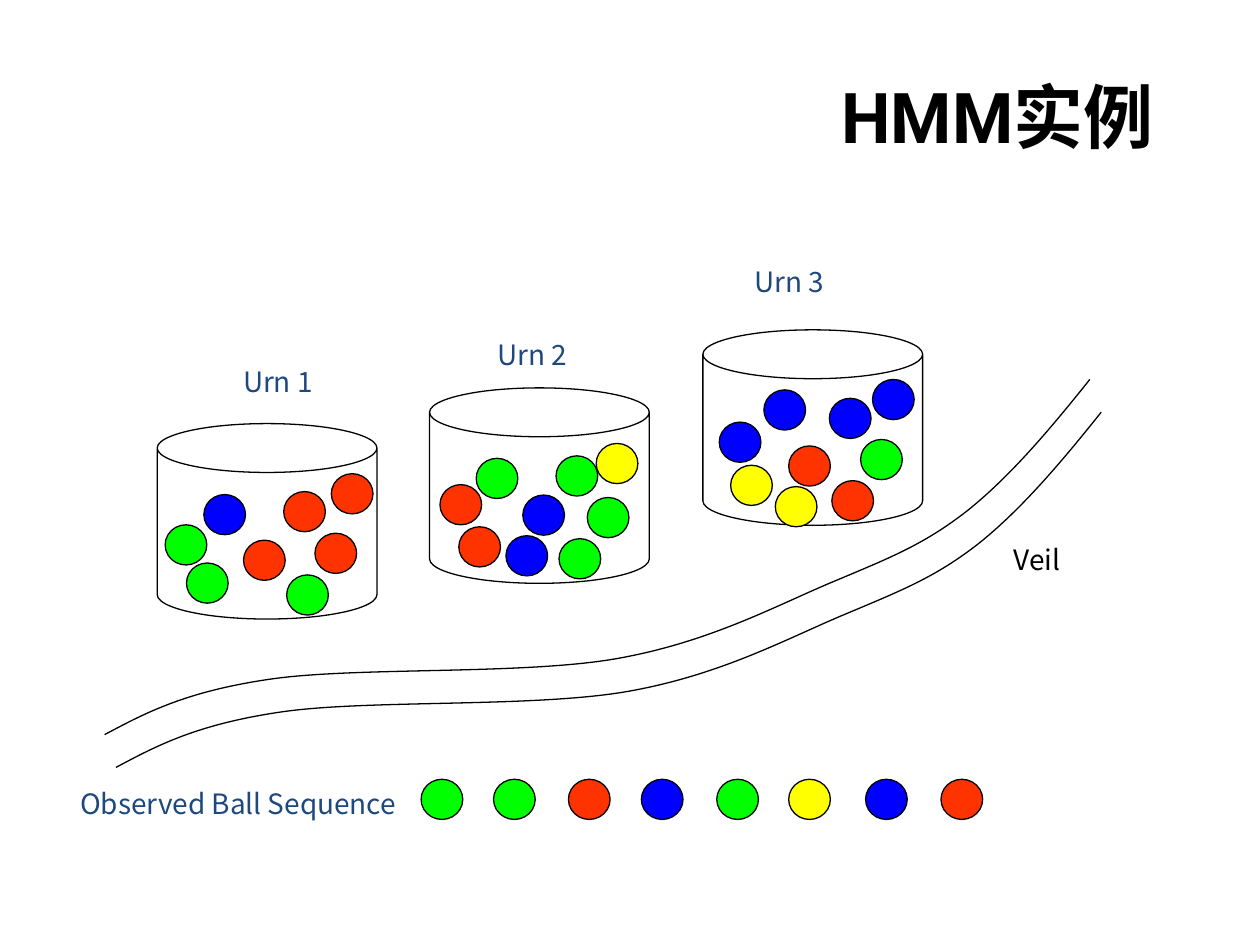
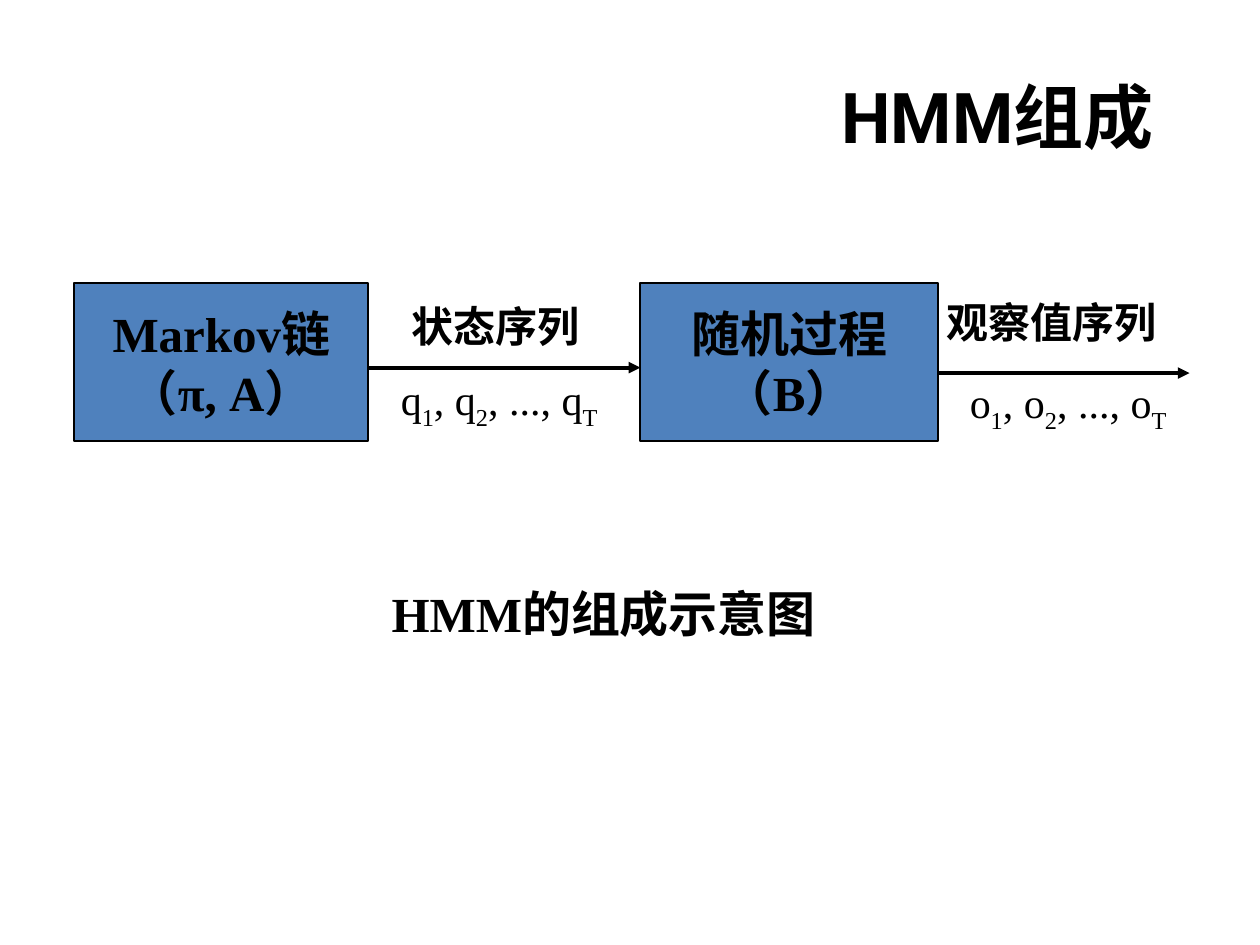
from lxml import etree
from pptx import Presentation
from pptx.dml.color import RGBColor
from pptx.enum.shapes import MSO_CONNECTOR as Connector, MSO_SHAPE as Preset
from pptx.enum.text import MSO_ANCHOR as Anchor, MSO_AUTO_SIZE as AutoSize, PP_ALIGN as Align
from pptx.oxml.ns import qn
from pptx.util import Cm, Pt

BLACK = RGBColor(0x00, 0x00, 0x00)
NAVY = RGBColor(0x1F, 0x49, 0x7D)
STEEL = RGBColor(0x4F, 0x81, 0xBD)
RED = RGBColor(0xFF, 0x33, 0x00)
GREEN = RGBColor(0x00, 0xFF, 0x00)
BLUE = RGBColor(0x00, 0x00, 0xFF)
YELLOW = RGBColor(0xFF, 0xFF, 0x00)

TITLE_FONT = "Roboto"
LABEL_FONT = "Noto Sans CJK KR"
SERIF_FONT = "Times New Roman"
CHINESE_FONT = "Noto Sans CJK SC"
TITLE_ONLY = 5

# Label, label position, urn position, balls by colour (all in cm)
URNS = [
    ("Urn 1", (4.65, 7.35), (3.17, 8.54), {
        BLUE: [(4.11, 9.97)],
        RED: [(5.72, 9.91), (6.35, 10.75), (4.91, 10.89), (6.68, 9.55)],
        GREEN: [(3.76, 11.35), (5.78, 11.59), (3.33, 10.58)]}),
    ("Urn 2", (9.78, 6.81), (8.66, 7.82), {
        GREEN: [(9.6, 9.24), (11.21, 9.19), (11.84, 10.03), (11.27, 10.86)],
        RED: [(9.25, 10.62), (8.87, 9.77)],
        BLUE: [(10.54, 9.98), (10.2, 10.8)],
        YELLOW: [(12.02, 8.94)]}),
    ("Urn 3", (14.96, 5.33), (14.17, 6.65), {
        BLUE: [(15.4, 7.86), (16.72, 8.03), (14.5, 8.51), (17.59, 7.65)],
        GREEN: [(17.35, 8.86)],
        RED: [(15.9, 8.99), (16.77, 9.69)],
        YELLOW: [(14.73, 9.38), (15.63, 9.81)]}),
]
OBSERVED = [(8.49, GREEN), (9.95, GREEN), (11.46, RED), (12.93, BLUE),
            (14.45, GREEN), (15.9, YELLOW), (17.45, BLUE), (18.97, RED)]

# Upper edge of the veil: a start point, then three Bézier points per piece
VEIL = [(2.11, 14.81),
        (2.92, 14.38), (3.73, 13.94), (5.46, 13.69),
        (7.19, 13.44), (10.52, 13.61), (12.42, 13.28),
        (14.3, 12.95), (15.62, 12.22), (16.79, 11.73),
        (17.98, 11.23), (18.64, 10.97), (19.51, 10.29),
        (20.37, 9.6), (21.18, 8.64), (21.97, 7.65)]


def write(frame, *lines, font=SERIF_FONT, size=24, color=BLACK, bold=False,
          align=Align.LEFT, anchor=Anchor.TOP, wrap=True):
    """Fill a text frame; an underscore makes the next character a subscript."""
    frame.word_wrap = wrap
    frame.auto_size = AutoSize.NONE
    frame.vertical_anchor = anchor
    for number, line in enumerate(lines):
        paragraph = frame.add_paragraph() if number else frame.paragraphs[0]
        paragraph.alignment = align
        first, *others = line.split("_")
        pieces = [(first, False)]
        for other in others:
            pieces += [(other[0], True), (other[1:], False)]
        for text, lowered in pieces:
            if not text:
                continue
            run = paragraph.add_run()
            run.text = text
            run.font.name, run.font.size, run.font.bold = font, Pt(size), bold
            run.font.color.rgb = color
            properties = run._r.get_or_add_rPr()
            etree.SubElement(properties, qn("a:ea")).set("typeface", CHINESE_FONT)
            if lowered:
                properties.set("baseline", "-25000")


class Deck:
    def __init__(self):
        self.presentation = Presentation()
        self.presentation.slide_width = Cm(25.4)
        self.presentation.slide_height = Cm(19.05)
        self.slide = None

    def add_slide(self, title):
        layout = self.presentation.slide_layouts[TITLE_ONLY]
        self.slide = self.presentation.slides.add_slide(layout)
        heading = self.slide.shapes.title
        heading.left, heading.top = Cm(1.7), Cm(1.73)
        heading.width, heading.height = Cm(21.8), Cm(1.19)
        write(heading.text_frame, title, font=TITLE_FONT, size=40, bold=True,
              align=Align.RIGHT, anchor=Anchor.MIDDLE)

    def outline(self, shape, fill=None, weight=0.75):
        shape.shadow.inherit = False
        if fill is None:
            shape.fill.background()
        else:
            shape.fill.solid()
            shape.fill.fore_color.rgb = fill
        shape.line.color.rgb = BLACK
        shape.line.width = Pt(weight)

    def shape(self, preset, left, top, width, height, fill=None, weight=0.75):
        shape = self.slide.shapes.add_shape(preset, Cm(left), Cm(top), Cm(width), Cm(height))
        self.outline(shape, fill, weight)
        return shape

    def ball(self, left, top, color):
        self.shape(Preset.OVAL, left, top, 0.84, 0.81, color)

    def box(self, left, width, *lines):
        box = self.shape(Preset.RECTANGLE, left, 5.71, width, 3.18, STEEL, weight=1)
        write(box.text_frame, *lines, size=28, bold=True, align=Align.CENTER,
              anchor=Anchor.MIDDLE, wrap=False)

    def text(self, left, top, width, height, line, **style):
        area = self.slide.shapes.add_textbox(Cm(left), Cm(top), Cm(width), Cm(height))
        write(area.text_frame, line, **style)
        return area

    def label(self, left, top, width, line, color=NAVY):
        label = self.text(left, top, width, 0.81, line, font=LABEL_FONT, size=16,
                          color=color, wrap=False)
        label.text_frame.margin_top = 0

    def curve(self, points):
        """Draw a chain of cubic Bézier pieces."""
        (left, top), *others = [(Cm(x), Cm(y)) for x, y in points]
        builder = self.slide.shapes.build_freeform(left, top)
        builder.add_line_segments(others, close=False)
        curve = builder.convert_to_shape()
        self.outline(curve)
        # Every three straight segments become one curved piece
        segments = list(curve._element.iter(qn("a:lnTo")))
        for start in range(0, len(segments), 3):
            piece = etree.Element(qn("a:cubicBezTo"))
            segments[start].addprevious(piece)
            for segment in segments[start:start + 3]:
                piece.append(segment[0])
                segment.getparent().remove(segment)

    def arrow(self, start, end, y):
        arrow = self.slide.shapes.add_connector(Connector.STRAIGHT, Cm(start), Cm(y),
                                                Cm(end), Cm(y))
        arrow.line.color.rgb = BLACK
        arrow.line.width = Pt(2.25)
        etree.SubElement(arrow.line._get_or_add_ln(), qn("a:tailEnd")).set("type", "triangle")
        etree.SubElement(arrow._element.spPr, qn("a:effectLst"))


def build_urns(deck):
    deck.add_slide("HMM实例")

    # Urns with their balls
    for name, label_at, urn_at, balls in URNS:
        deck.label(*label_at, 1.96, name)
        deck.shape(Preset.CAN, *urn_at, 4.43, 3.94)
        for color, places in balls.items():
            for place in places:
                deck.ball(*place, color)

    # Veil: two parallel edges
    deck.curve(VEIL)
    deck.curve([(x + 0.23, y + 0.66) for x, y in VEIL])
    deck.label(20.19, 10.93, 1.45, "Veil", BLACK)

    # Observed sequence
    deck.label(1.37, 15.85, 7.04, "Observed Ball Sequence")
    for left, color in OBSERVED:
        deck.ball(left, 15.71, color)


def build_composition(deck):
    deck.add_slide("HMM组成")

    # Two stages and the arrows leaving them
    deck.box(1.5, 5.92, "Markov链", "（π, A）")
    deck.box(12.91, 6, "随机过程", "（B）")
    deck.arrow(7.41, 12.91, 7.41)
    deck.arrow(18.9, 23.98, 7.52)

    # Sequence names above the arrows, symbols below
    deck.text(8.05, 5.93, 4.24, 1.27, "状态序列", bold=True)
    deck.text(18.84, 5.86, 5.28, 1.27, "观察值序列", bold=True)
    deck.text(7.83, 7.41, 4.88, 1.27, "q_1, q_2, ..., q_T")
    deck.text(19.3, 7.47, 4.88, 1.27, "o_1, o_2, ..., o_T")

    # Caption
    deck.text(3.38, 11.64, 17.58, 1.45, "HMM的组成示意图", size=28, bold=True,
              align=Align.CENTER)


def main():
    deck = Deck()
    build_urns(deck)
    build_composition(deck)
    deck.presentation.save("out.pptx")


if __name__ == "__main__":
    main()
